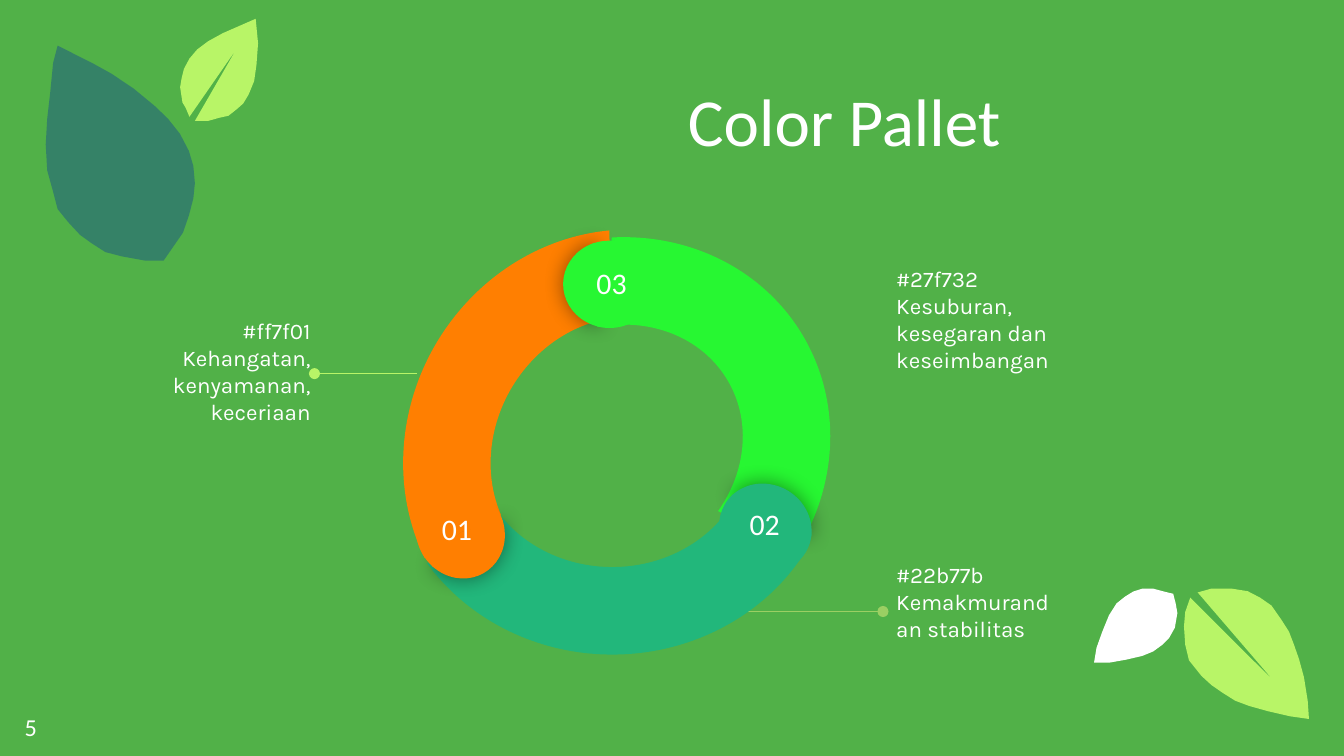
from lxml.etree import SubElement
from pptx import Presentation
from pptx.dml.color import RGBColor
from pptx.enum.shapes import MSO_CONNECTOR, MSO_SHAPE
from pptx.enum.text import MSO_ANCHOR as Anchor, PP_ALIGN as Align
from pptx.oxml.ns import qn
from pptx.util import Inches, Pt

WIDTH = Inches(10)
HEIGHT = WIDTH * 9 // 16
COLUMNS, ROWS = 100, 56.25
WHITE, LIME, LEAF_BLUE, BACKGROUND = "FFFFFF", "B8F567", "1D5885", "51B148"
ORANGE, TEAL, GREEN = "FF7F01", "22B77B", "27F732"
HEADING, BODY = "Calibri", "Karla"

SPLIT_RIGHT = [(78, 24), (70, 13), (61, 7), (51, 2), (38, 0), (22, 0), (11, 3), (72, 71), (5, 7),
               (1, 18), (0, 29), (1, 43), (4, 55), (9, 61), (14, 67), (22, 74), (31, 80), (41, 86),
               (52, 90), (67, 94), (85, 98), (100, 100), (99, 86), (96, 68), (92, 54), (88, 43), (84, 33)]
ROUND_RIGHT = [(95, 7), (84, 4), (71, 0), (58, 0), (47, 4), (37, 11), (27, 20), (18, 36), (10, 58),
               (3, 80), (0, 100), (19, 100), (39, 96), (58, 91), (71, 85), (82, 76), (90, 67),
               (97, 53), (100, 33), (98, 20)]
SPLIT_LEFT = [(0, 67), (3, 82), (7, 87), (12, 96), (72, 30), (19, 100), (36, 100), (50, 97), (62, 95),
              (72, 89), (81, 83), (88, 74), (95, 61), (98, 45), (100, 24), (97, 0), (76, 7), (55, 14),
              (36, 22), (22, 30), (12, 39), (5, 49), (2, 58)]
ROUND_LEFT = [(79, 100), (86, 93), (92, 87), (96, 79), (99, 71), (100, 64), (99, 56), (96, 49), (90, 41),
              (82, 34), (73, 28), (59, 20), (44, 13), (31, 8), (8, 0), (5, 8), (3, 22), (1, 34), (0, 46),
              (1, 58), (5, 68), (8, 76), (15, 82), (23, 88), (31, 92), (40, 96), (51, 98), (67, 100)]


def rgb(code):
    """Turn a hex string into a colour."""
    return RGBColor.from_string(code)


def grid(*values):
    """Turn alternating columns and rows into slide lengths."""
    units = (WIDTH / COLUMNS, HEIGHT / ROWS)
    return [round(v * units[i % 2]) for i, v in enumerate(values)]


def paint(sp, color, alpha=None):
    """Fill a shape flat, without line or shadow."""
    sp.shadow.inherit = False
    sp.fill.solid()
    sp.fill.fore_color.rgb = rgb(color)
    sp.line.fill.background()
    if alpha:
        fill = sp._element.spPr.find(qn("a:solidFill"))
        SubElement(fill[0], qn("a:alpha"), val=str(alpha * 1000))


def text(s, box, lines, size, font, align=Align.LEFT, anchor=Anchor.MIDDLE, bottom=0.1):
    """Write white paragraphs into a text box."""
    sp = s.shapes.add_textbox(*grid(*box))
    tf = sp.text_frame
    frame = {"word_wrap": True, "vertical_anchor": anchor, "margin_left": Inches(0.1),
             "margin_right": Inches(0.1), "margin_top": Inches(0.1), "margin_bottom": Inches(bottom)}
    for name, value in frame.items():
        setattr(tf, name, value)
    for i, line in enumerate(lines):
        p = tf.add_paragraph() if i else tf.paragraphs[0]
        p.alignment = align
        r = p.add_run()
        r.text = line
        for name, value in {"size": Pt(size), "name": font}.items():
            setattr(r.font, name, value)
        r.font.color.rgb = rgb(WHITE)
    return sp


def leaf(s, box, outline, color, alpha=None):
    """Draw a leaf whose outline is given in percent of its box."""
    x, y, w, h = grid(*box)
    points = [(x + round(w * px / 100), y + round(h * py / 100)) for px, py in outline]
    pen = s.shapes.build_freeform(*points[0])
    pen.add_line_segments(points[1:], close=True)
    paint(pen.convert_to_shape(), color, alpha)


def callout(s, box, lines, start, end, color, align=Align.LEFT, bottom=0.1, joined=True):
    """Write a colour note and the line that leads to it."""
    sp = text(s, box, lines, 12, BODY, align, bottom=bottom)
    line = s.shapes.add_connector(MSO_CONNECTOR.STRAIGHT, *grid(*start, *end))
    if joined:
        line.end_connect(sp, 1)
    line.line.width = Pt(0.75)
    line.line.color.rgb = rgb(color)
    SubElement(line.line._get_or_add_ln(), qn("a:tailEnd"), type="oval")
    SubElement(line._element.spPr, qn("a:effectLst"))


def turned(s, kind, box, turn, adjustments, color):
    """Draw a rotated preset shape."""
    sp = s.shapes.add_shape(kind, *grid(*box))
    sp.rotation = turn
    for i, value in enumerate(adjustments):
        sp.adjustments[i] = value
    paint(sp, color)
    return sp


def glow(sp):
    """Add a soft dark shadow around a shape."""
    effects = sp._element.spPr.find(qn("a:effectLst"))
    shadow = SubElement(effects, qn("a:outerShdw"), blurRad=str(Pt(11.2)), dist="0", algn="ctr")
    black = SubElement(shadow, qn("a:srgbClr"), val="000000")
    SubElement(black, qn("a:alpha"), val="43000")


def ring(s, box):
    """Draw three overlapping arcs with numbered round ends."""
    x, y, side = box
    short = side - 2.3
    arcs = [(1, 0, short, side, 60, 197.82, GREEN),
            (0, 0.9, side, short, 180, 196.63, TEAL),
            (0.25, 1.15, side, short, 300, 197.03, ORANGE)]
    caps = [(1.85, 19.55, 7, 6.5, 240.6, 60, ORANGE),
            (13, 1.1, 6.9, 6.5, 0.7, 180, GREEN),
            (24.8, 19, 6.5, 7, 120.7, 300, TEAL)]
    labels = [("03 ", 13.8, 1.9), ("01 ", 2.3, 20.2), ("02 ", 25.2, 19.8)]
    for dx, dy, w, h, turn, stop, color in arcs:
        turned(s, MSO_SHAPE.BLOCK_ARC, (x + dx, y + dy, w, h), turn, (126.23, stop, 0.21), color)
    for dx, dy, w, h, front, back, color in caps:
        spot = (x + dx, y + dy, w, h)
        glow(turned(s, MSO_SHAPE.PIE, spot, front, (61.9, 149.96), color))
        turned(s, MSO_SHAPE.PIE, spot, back, (40.28, 171.84), color)
    for label, dx, dy in labels:
        text(s, (x + dx, y + dy, 6.1, 3), [label], 16, HEADING, Align.CENTER, Anchor.TOP)


def palette_slide(prs):
    """Compose the colour palette slide."""
    s = prs.slides.add_slide(prs.slide_layouts[6])
    s.background.fill.solid()
    s.background.fill.fore_color.rgb = rgb(BACKGROUND)
    leaf(s, (88.1, 43.8, 9.3, 9.7), SPLIT_RIGHT, LIME)
    leaf(s, (81.4, 43.8, 6.2, 5.5), ROUND_RIGHT, WHITE)
    leaf(s, (13.4, 1.4, 5.8, 7.6), SPLIT_LEFT, LIME)
    leaf(s, (3.4, 3.4, 11.1, 16), ROUND_LEFT, LEAF_BLUE, 52)
    text(s, (0.85, 51.95, 6, 4.3), ["5"], 13, HEADING)
    text(s, (50.2, 3.6, 40.8, 9.3), ["Color Pallet"], 36, HEADING, anchor=Anchor.BOTTOM)
    callout(s, (9, 20.4, 15.1, 14.4), ["#ff7f01", "Kehangatan, kenyamanan, keceriaan"],
            (31, 27.8), (23.4, 27.8), LIME, Align.RIGHT, joined=False)
    callout(s, (65.7, 16.55, 16.1, 14.4), ["#27f732", "Kesuburan, kesegaran dan keseimbangan"],
            (50.2, 23.75), (65.7, 23.75), BACKGROUND)
    callout(s, (65.7, 38.3, 13.8, 14.4), ["#22b77b", "Kemakmurandan stabilitas"],
            (50.2, 45.5), (65.7, 45.5), "9BCF63", bottom=0.25)
    ring(s, (28.9, 16.8, 33.3))


def main():
    """Build and save the presentation."""
    prs = Presentation()
    prs.slide_width, prs.slide_height = WIDTH, HEIGHT
    palette_slide(prs)
    prs.save("out.pptx")


if __name__ == "__main__":
    main()
